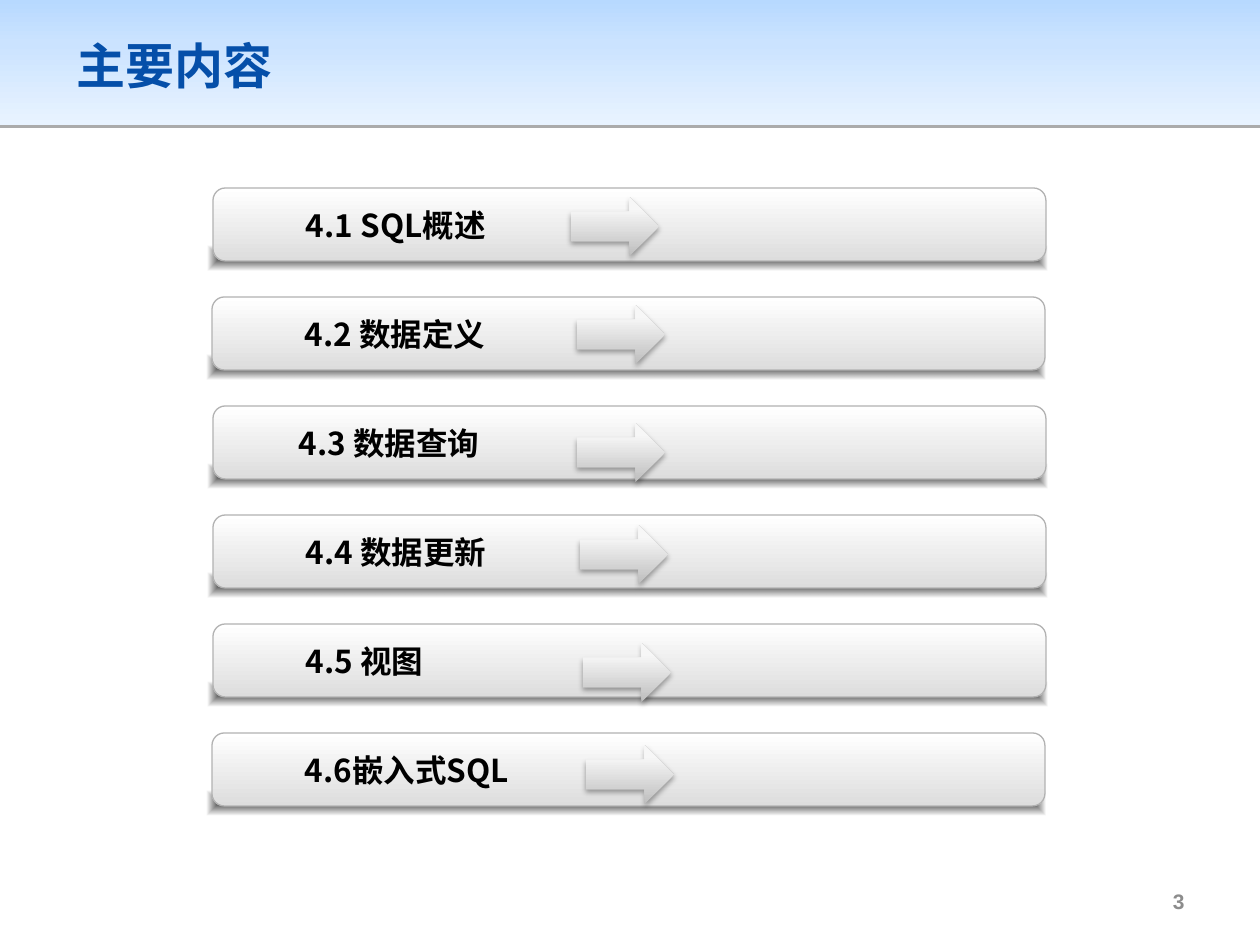
from lxml import etree
from pptx import Presentation
from pptx.dml.color import RGBColor as RGB
from pptx.enum.shapes import MSO_SHAPE as Shape
from pptx.enum.text import MSO_ANCHOR as Anchor, PP_ALIGN as Align
from pptx.oxml import parse_xml
from pptx.oxml.ns import nsdecls, qn
from pptx.util import Pt

PX = 914400 // 126  # EMU in one px


class Theme:
    # gradient stops: position %, colour, opacity %
    head = [(0, "B7D9FF", 100), (35, "CBE3FF", 100), (100, "E8F3FF", 100)]
    bar = [(0, "FFFFFF", 100), (100, "DDDDDD", 100)]
    arrow = [(0, "BEBEBE", 100), (80, "F7F7F7", 100), (100, "F8F8F8", 100)]
    shade = [(0, "000000", 70), (100, "000000", 0)]
    edge, title, ink, grey = "B2B2B2", "054FA9", "000000", "8C8C8C"
    sans, cjk = "Arial", "Noto Sans CJK SC"
    big, mid, small = 28, 18, 12


def block(kind, box, stops, angle=None, shadow=None):
    """Add a shape with a gradient; no angle means it spreads from the centre."""
    shape = slide.shapes.add_shape(kind, *[n * PX for n in box])
    shape.shadow.inherit = False
    shape.line.fill.background()
    shape.fill.background()
    marks = "".join(
        f'<a:gs pos="{pos * 1000}"><a:srgbClr val="{color}">'
        f'<a:alpha val="{alpha * 1000}"/></a:srgbClr></a:gs>'
        for pos, color, alpha in stops)
    if angle is None:
        way = ('<a:path path="shape"><a:fillToRect l="50000" t="50000" '
               'r="50000" b="50000"/></a:path>')
    else:
        way = f'<a:lin ang="{angle * 60000}" scaled="0"/>'
    props = shape.fill._xPr
    props.replace(props.find(qn("a:noFill")), parse_xml(
        f'<a:gradFill {nsdecls("a")} rotWithShape="1">'
        f'<a:gsLst>{marks}</a:gsLst>{way}</a:gradFill>'))
    if shadow:
        alpha, blur, dist = shadow
        props.find(qn("a:effectLst")).append(parse_xml(
            f'<a:outerShdw {nsdecls("a")} blurRad="{Pt(blur)}" dist="{Pt(dist)}" '
            f'dir="5400000" algn="t" rotWithShape="0"><a:srgbClr val="000000">'
            f'<a:alpha val="{alpha * 1000}"/></a:srgbClr></a:outerShdw>'))
    return shape


def label(text, box, size, color, name, left=13, wrap=True, align=Align.LEFT):
    """Add bold text, centred in height."""
    frame = slide.shapes.add_textbox(*[n * PX for n in box]).text_frame
    frame.word_wrap = wrap
    frame.vertical_anchor = Anchor.MIDDLE
    frame.margin_left = left * PX
    para = frame.paragraphs[0]
    para.text, para.alignment = text, align
    font = para.font
    font.size, font.bold, font.name = Pt(size), True, name
    font.color.rgb = RGB.from_string(color)
    etree.SubElement(font._element, qn("a:ea"), typeface=Theme.cjk)


deck = Presentation()
deck.slide_width, deck.slide_height = 1260 * PX, 945 * PX
slide = deck.slides.add_slide(deck.slide_layouts[6])

# Header band and title
block(Shape.RECTANGLE, (0, 0, 1260, 125), Theme.head, 90, (33, 0, 1.6))
label("主要内容", (64, 20, 1132, 90), Theme.big, Theme.title, Theme.sans)

# Chapter rows: text, shift of the row, text inset, arrow corner
rows = [
    ("4.1 SQL概述", 0, 20, (571, 197)),
    ("4.2 数据定义", -1, 20, (577, 305)),
    ("4.3 数据查询", 0, 13, (577, 423)),
    ("4.4 数据更新", 0, 20, (580, 525)),
    ("4.5 视图", 0, 20, (583, 643)),
    ("4.6嵌入式SQL", -1, 20, (586, 745)),
]
for i, (text, shift, inset, spot) in enumerate(rows):
    top = 188 + 109 * i
    block(Shape.RECTANGLE, (208 + shift, top + 58, 839, 25), Theme.shade)
    bar = block(Shape.ROUNDED_RECTANGLE, (213 + shift, top, 833, 73), Theme.bar, 90)
    bar.adjustments[0] = 0.17
    bar.line.color.rgb = RGB.from_string(Theme.edge)
    bar.line.width = Pt(0.75)
    label(text, (223 + shift, top, 745, 73), Theme.mid, Theme.ink, Theme.cjk,
          left=inset + 63, wrap=False)
    block(Shape.RIGHT_ARROW, (*spot, 88, 59), Theme.arrow, 270, (35, 3.1, 1.8))

# Page number
label("3", (903, 876, 294, 50), Theme.small, Theme.grey, Theme.sans,
      align=Align.RIGHT)

deck.save("out.pptx")
